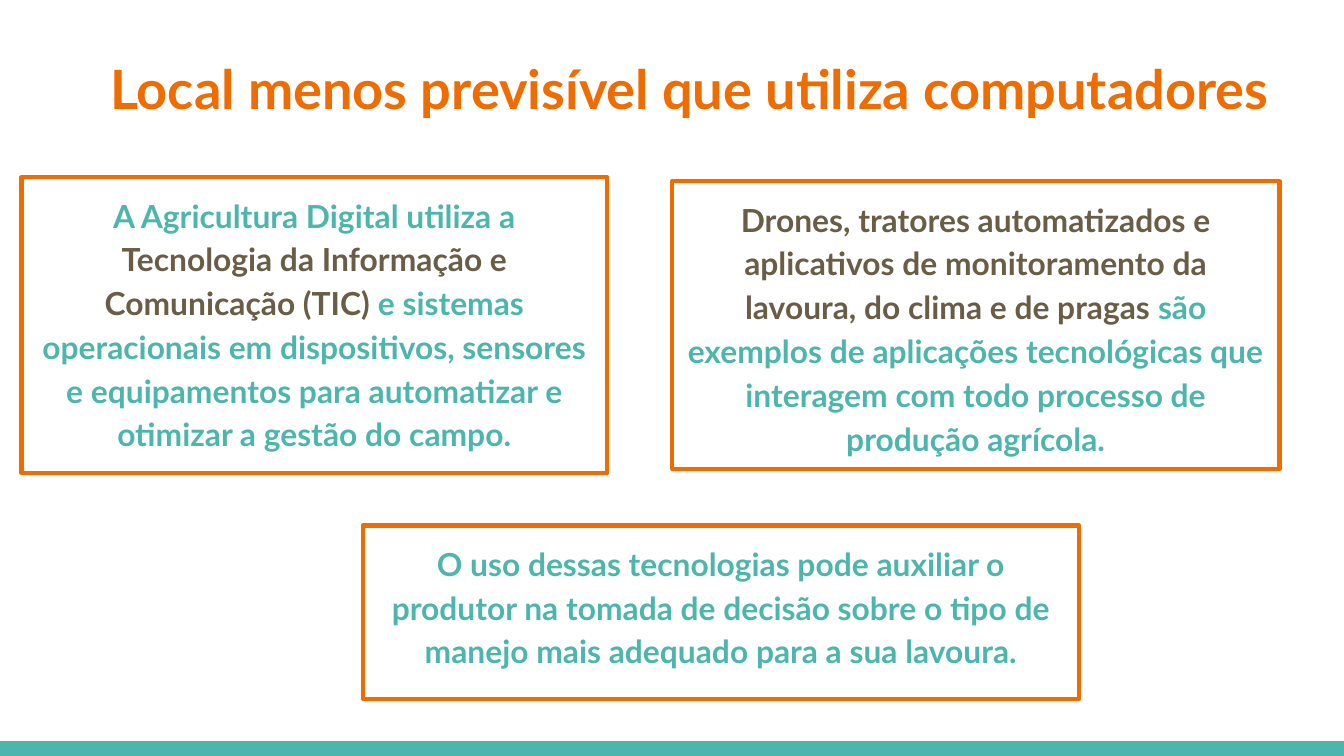
from pptx import Presentation
from pptx.dml.color import RGBColor
from pptx.enum.shapes import MSO_SHAPE
from pptx.enum.text import MSO_ANCHOR, PP_ALIGN
from pptx.util import Inches, Pt

RECTANGLE = MSO_SHAPE.RECTANGLE
TOP = MSO_ANCHOR.TOP
CENTER = PP_ALIGN.CENTER

ORANGE, TEAL, BROWN = "EF6C00", "4DB6AC", "695D46"
SLIDE_WIDTH = 10
SLIDE_HEIGHT = SLIDE_WIDTH * 9 / 16
FOOTER_HEIGHT = 0.11
FOOTER_BAR = (0, SLIDE_HEIGHT - FOOTER_HEIGHT, SLIDE_WIDTH, FOOTER_HEIGHT)

TITLE_BOX = (0.01, 0.24, 10.25, 0.77)
TITLE = [("Local menos previsível que utiliza computadores", ORANGE)]

# Each card: position (left, top, width, height) and its coloured text parts
CARDS = [
    ((2.7, 3.91, 5.33, 1.29), [
        ("O uso dessas tecnologias pode auxiliar o produtor na tomada de "
         "decisão sobre o tipo de manejo mais adequado para a sua lavoura.", TEAL),
    ]),
    ((0.16, 1.32, 4.36, 2.2), [
        ("A Agricultura Digital utiliza a ", TEAL),
        ("Tecnologia da Informação e Comunicação (TIC)", BROWN),
        (" e sistemas operacionais em dispositivos, sensores e equipamentos "
         "para automatizar e otimizar a gestão do campo.", TEAL),
    ]),
    ((5, 1.35, 4.52, 2.14), [
        ("Drones, tratores automatizados e aplicativos de monitoramento da "
         "lavoura, do clima e de pragas", BROWN),
        (" são exemplos de aplicações tecnológicas que interagem com todo "
         "processo de produção agrícola.", TEAL),
    ]),
]

MARGIN = Inches(0.1)
FRAME_FORMAT = {
    "word_wrap": True, "vertical_anchor": TOP,
    "margin_left": MARGIN, "margin_top": MARGIN,
    "margin_right": MARGIN, "margin_bottom": MARGIN,
}
TITLE_PARAGRAPH = {"alignment": CENTER, "line_spacing": 1.15}
CARD_PARAGRAPH = {**TITLE_PARAGRAPH, "space_after": Pt(11)}
TITLE_FONT = {"name": "Lato", "size": Pt(29), "bold": True}
CARD_FONT = {**TITLE_FONT, "size": Pt(17)}


def color(value):
    return RGBColor.from_string(value)


def apply_format(target, values):
    for name, value in values.items():
        setattr(target, name, value)


def add_rectangle(slide, box):
    shape = slide.shapes.add_shape(RECTANGLE, *map(Inches, box))
    shape.shadow.inherit = False
    return shape


def write_text(shape, parts, paragraph_format, font_format):
    apply_format(shape.text_frame, FRAME_FORMAT)
    paragraph = shape.text_frame.paragraphs[0]
    apply_format(paragraph, paragraph_format)
    for text, text_color in parts:
        run = paragraph.add_run()
        run.text = text
        apply_format(run.font, font_format)
        run.font.color.rgb = color(text_color)


def add_card(slide, box, parts):
    card = add_rectangle(slide, box)
    card.fill.background()
    card.line.color.rgb = color(ORANGE)
    card.line.width = Pt(2.25)
    write_text(card, parts, CARD_PARAGRAPH, CARD_FONT)


def main():
    presentation = Presentation()
    presentation.slide_width = Inches(SLIDE_WIDTH)
    presentation.slide_height = Inches(SLIDE_HEIGHT)
    slide = presentation.slides.add_slide(presentation.slide_layouts[6])

    footer = add_rectangle(slide, FOOTER_BAR)
    footer.fill.solid()
    footer.fill.fore_color.rgb = color(TEAL)
    footer.line.fill.background()

    title = slide.shapes.add_textbox(*map(Inches, TITLE_BOX))
    write_text(title, TITLE, TITLE_PARAGRAPH, TITLE_FONT)

    for box, parts in CARDS:
        add_card(slide, box, parts)

    presentation.save("out.pptx")


if __name__ == "__main__":
    main()
